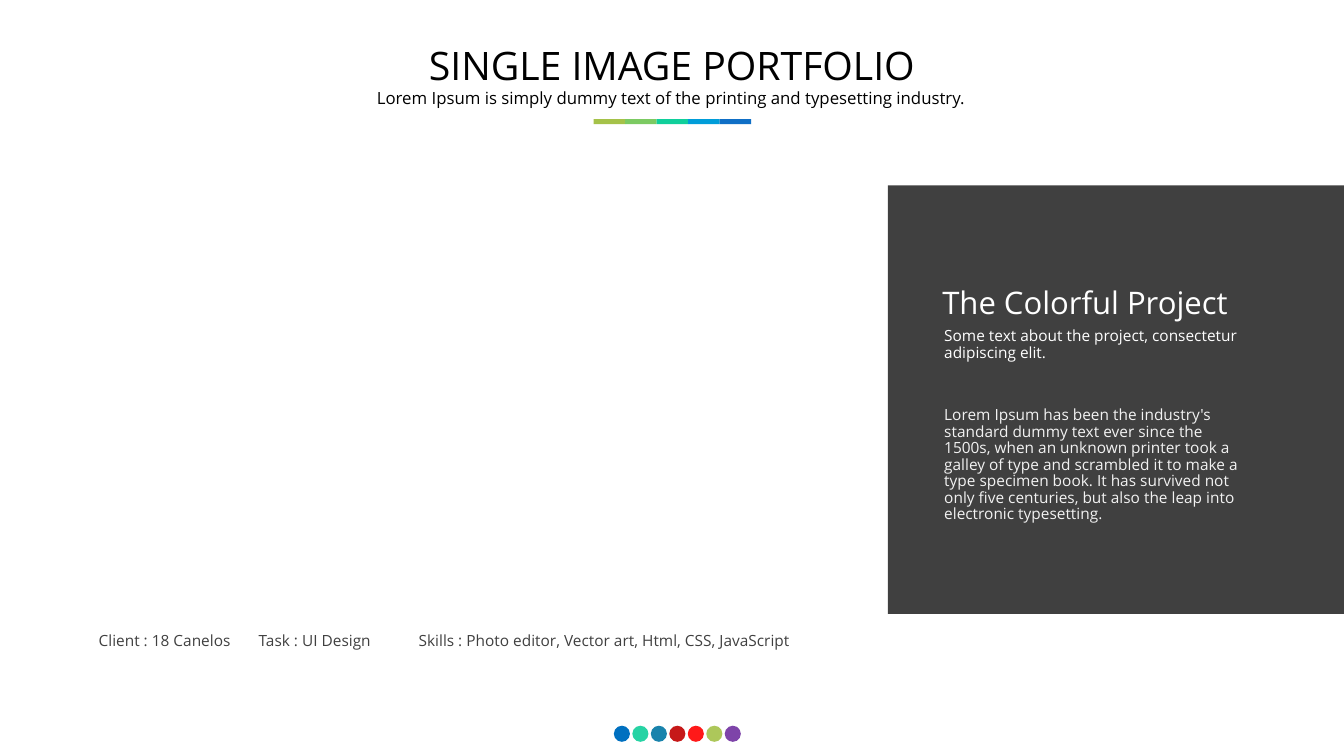
from lxml import etree
from pptx import Presentation
from pptx.dml.color import RGBColor
from pptx.enum.shapes import MSO_SHAPE
from pptx.enum.text import MSO_ANCHOR, MSO_AUTO_SIZE, PP_ALIGN
from pptx.oxml.ns import qn
from pptx.util import Pt

RECTANGLE, OVAL = MSO_SHAPE.RECTANGLE, MSO_SHAPE.OVAL
TOP, MIDDLE = MSO_ANCHOR.TOP, MSO_ANCHOR.MIDDLE
LEFT, CENTER = PP_ALIGN.LEFT, PP_ALIGN.CENTER
NO_AUTOFIT = MSO_AUTO_SIZE.NONE

FONT = "Open Sans"
BLACK = RGBColor(0x00, 0x00, 0x00)
WHITE = RGBColor(0xFF, 0xFF, 0xFF)
PALE = RGBColor(0xF2, 0xF2, 0xF2)
CHARCOAL = RGBColor(0x40, 0x40, 0x40)
LIME = RGBColor(0xA5, 0xC2, 0x49)
GREEN = RGBColor(0x7C, 0xCA, 0x62)
MINT = RGBColor(0x10, 0xCF, 0x9B)
SKY = RGBColor(0x00, 0x9D, 0xD9)
BLUE = RGBColor(0x0F, 0x6F, 0xC6)
AZURE = RGBColor(0x00, 0x70, 0xC0)
TEAL = RGBColor(0x00, 0x76, 0xA3)
CRIMSON = RGBColor(0xC0, 0x00, 0x00)
RED = RGBColor(0xFF, 0x00, 0x00)
PURPLE = RGBColor(0x70, 0x30, 0xA0)

TITLE = "SINGLE IMAGE PORTFOLIO"
SUBTITLE = "Lorem Ipsum is simply dummy text of the printing and typesetting industry."
PROJECT = "The Colorful Project"
DESCRIPTION = [
    ("Some text about the project, consectetur adipiscing elit.", WHITE),
    ("Lorem Ipsum has been the industry's standard dummy text ever since the "
     "1500s, when an unknown printer took a galley of type and scrambled it to "
     "make a type specimen book. It has survived not only five centuries, but "
     "also the leap into electronic typesetting.", PALE),
]
DETAILS = [
    ("Client : 18 Canelos", 114.3),
    ("Task : UI Design", 114.3),
    ("Skills : Photo editor, Vector art, Html, CSS, JavaScript", 307.4),
]
BAR_COLORS = [LIME, GREEN, MINT, SKY, BLUE]
DOTS = [(AZURE, 100), (MINT, 90), (TEAL, 90), (CRIMSON, 90),
        (RED, 90), (LIME, 90), (PURPLE, 90)]


def place(box, left, top, width, height):
    box.left, box.top, box.width, box.height = map(Pt, (left, top, width, height))


def add_solid(page, kind, bounds, color, opacity=100):
    shape = page.shapes.add_shape(kind, *map(Pt, bounds))
    shape.shadow.inherit = False
    shape.line.fill.background()
    shape.fill.solid()
    shape.fill.fore_color.rgb = color
    if opacity < 100:
        tint = shape.fill._xPr.find(".//" + qn("a:srgbClr"))
        etree.SubElement(tint, qn("a:alpha")).set("val", str(opacity * 1000))


def write(box, lines, size, align=LEFT, anchor=TOP, gap=0, spacing=1.0):
    frame = box.text_frame
    frame.word_wrap = True
    frame.auto_size = NO_AUTOFIT
    frame.vertical_anchor = anchor
    for index, (text, color) in enumerate(lines):
        para = frame.add_paragraph() if index else frame.paragraphs[0]
        para.text = text
        para.alignment = align
        para.line_spacing = spacing
        para.space_before = Pt(gap if index else 0)
        para.font.name = FONT
        para.font.size = Pt(size)
        para.font.color.rgb = color


def add_text(page, bounds, lines, size, **style):
    write(page.shapes.add_textbox(*map(Pt, bounds)), lines, size, **style)


def main():
    deck = Presentation()
    deck.slide_width, deck.slide_height = Pt(960), Pt(540)
    page = deck.slides.add_slide(deck.slide_layouts[5])

    for index, (color, opacity) in enumerate(DOTS):
        bounds = (438.5 + index * 13.2, 518.4, 11.5, 11.5)
        add_solid(page, OVAL, bounds, color, opacity)

    add_solid(page, RECTANGLE, (634.2, 132.5, 325.8, 306), CHARCOAL)
    add_text(page, (667.4, 231.1, 228.2, 192.2), DESCRIPTION, 11,
             gap=33, spacing=0.89)
    add_text(page, (666, 187.2, 225.4, 57.6), [(PROJECT, WHITE)], 22.2, anchor=MIDDLE)

    left = 63.4
    for text, width in DETAILS:
        add_text(page, (left, 447.1, width, 20.9), [(text, CHARCOAL)], 11)
        left += width

    title = page.shapes.title
    place(title, 195.1, 28.8, 569.5, 35.3)
    write(title, [(TITLE, BLACK)], 28, align=CENTER, anchor=MIDDLE)
    add_text(page, (236.9, 59, 485.3, 21.6), [(SUBTITLE, BLACK)], 12, align=CENTER)

    for index, color in enumerate(BAR_COLORS):
        add_solid(page, RECTANGLE, (424 + index * 22.5, 85, 22.5, 3.6), color)

    deck.save("out.pptx")


if __name__ == "__main__":
    main()
